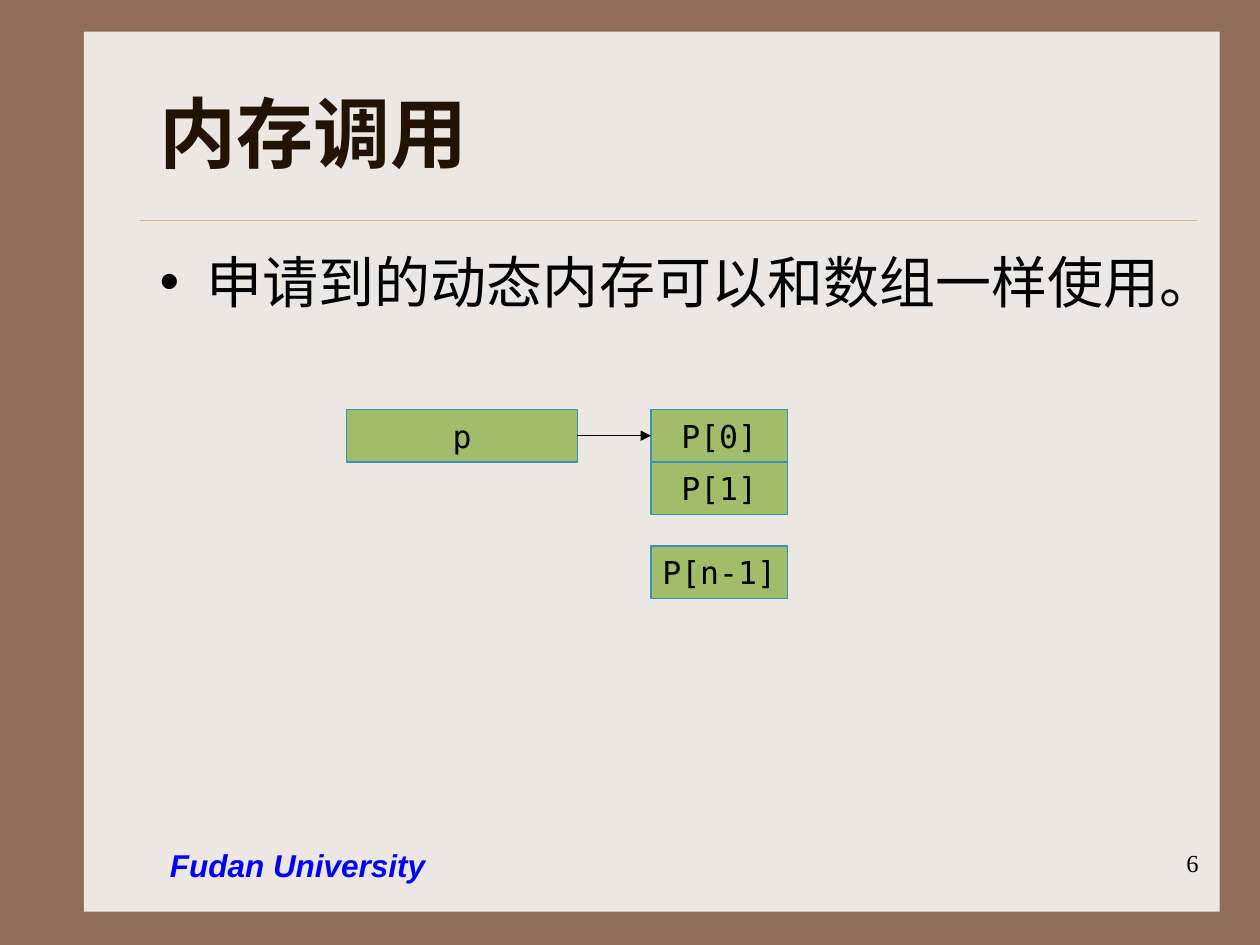
import pptx
import pptx.util
import pptx.dml.color
import pptx.enum.shapes
import pptx.enum.text
import pptx.oxml.ns
from lxml import etree

Pt = pptx.util.Pt
RGBColor = pptx.dml.color.RGBColor
ALIGN = pptx.enum.text.PP_ALIGN
ANCHOR = pptx.enum.text.MSO_ANCHOR
RECTANGLE = pptx.enum.shapes.MSO_SHAPE.RECTANGLE
STRAIGHT = pptx.enum.shapes.MSO_CONNECTOR.STRAIGHT
qn = pptx.oxml.ns.qn

BROWN = RGBColor(0x90, 0x6D, 0x58)
PAPER = RGBColor(0xED, 0xE7, 0xE3)
SAND = RGBColor(0xCB, 0xBD, 0x83)
DARK_BROWN = RGBColor(0x22, 0x13, 0x04)
BLACK = RGBColor(0, 0, 0)
GREEN = RGBColor(0xA1, 0xBD, 0x69)
TEAL = RGBColor(0x36, 0x94, 0xB6)
BLUE = RGBColor(0, 0, 0xFF)
MONO = "DejaVu Sans Mono"


def write(shape, text, size, font=MONO, color=BLACK, bold=False, italic=False,
          align=ALIGN.LEFT, anchor=ANCHOR.TOP, wrap=True):
    frame = shape.text_frame
    frame.auto_size = pptx.enum.text.MSO_AUTO_SIZE.NONE
    frame.word_wrap = wrap
    frame.vertical_anchor = anchor
    paragraph = frame.paragraphs[0]
    paragraph.alignment = align
    paragraph.space_before = Pt(0)
    run = paragraph.add_run()
    run.text = text
    run.font.size = Pt(size)
    run.font.name = font
    run.font.bold = bold
    run.font.italic = italic
    run.font.color.rgb = color
    return paragraph


def place(shape, left, top, width, height):
    shape.left, shape.top = Pt(left), Pt(top)
    shape.width, shape.height = Pt(width), Pt(height)


def add_box(slide, left, top, width, height, fill, line=None):
    box = slide.shapes.add_shape(RECTANGLE, Pt(left), Pt(top), Pt(width), Pt(height))
    box.shadow.inherit = False
    box.fill.solid()
    box.fill.fore_color.rgb = fill
    if line is None:
        box.line.fill.background()
    else:
        box.line.color.rgb = line
        box.line.width = Pt(0.75)
    return box


def add_line(slide, x1, y1, x2, y2, color, width):
    line = slide.shapes.add_connector(STRAIGHT, Pt(x1), Pt(y1), Pt(x2), Pt(y2))
    line.line.color.rgb = color
    line.line.width = Pt(width)
    etree.SubElement(line.element.spPr, qn("a:effectLst"))
    return line


def add_background(slide, left, top, width, height):
    """Put the paper panel and the title rule behind the placeholders."""
    slide.background.fill.solid()
    slide.background.fill.fore_color.rgb = BROWN
    panel = add_box(slide, left, top, width, height, PAPER)
    rule = add_line(slide, left + 32, top + 108, left + 636, top + 108, SAND, 0.25)
    for part in (panel, rule):
        slide.shapes.title.element.addprevious(part.element)


def fill_title(slide, left, top, width, height):
    title = slide.shapes.title
    place(title, left, top, width, height)
    write(title, "内存调用", 44, color=DARK_BROWN, bold=True, anchor=ANCHOR.MIDDLE)


def fill_body(slide, left, top, width, height):
    body = slide.placeholders[1]
    place(body, left, top, width, height)
    bullet_item = write(body, "申请到的动态内存可以和数组一样使用。", 32)
    properties = bullet_item._p.get_or_add_pPr()
    properties.set("marL", str(Pt(27)))
    properties.set("indent", str(-Pt(27)))
    bullet_color = etree.SubElement(properties, qn("a:buClr"))
    etree.SubElement(bullet_color, qn("a:srgbClr"), val=str(BLACK))
    etree.SubElement(properties, qn("a:buFont"), typeface="Arial")
    etree.SubElement(properties, qn("a:buChar"), char="•")


def add_memory_diagram(slide, left, top, width, height):
    """Draw the pointer and the array cells; the last cell ends the box."""
    pointer_width, cell_width, cell_height = 132, 78, 30
    cell_left = left + width - cell_width

    def add_cell(text, x, y, cell_w):
        cell = add_box(slide, x, y, cell_w, cell_height, GREEN, TEAL)
        write(cell, text, 18, align=ALIGN.CENTER, anchor=ANCHOR.MIDDLE, wrap=False)
        return cell

    pointer = add_cell("p", left, top, pointer_width)
    first_cell = add_cell("P[0]", cell_left, top, cell_width)
    add_cell("P[1]", cell_left, top + cell_height, cell_width)
    add_cell("P[n-1]", cell_left, top + height - cell_height, cell_width)

    middle = top + cell_height / 2
    arrow = add_line(slide, left + pointer_width, middle, cell_left, middle, BLACK, 0.75)
    arrow.begin_connect(pointer, 3)
    arrow.end_connect(first_cell, 1)
    etree.SubElement(arrow.line._get_or_add_ln(), qn("a:tailEnd"), type="triangle")


def add_footer(slide, left, top, width, height):
    university = slide.shapes.add_textbox(Pt(left), Pt(top), Pt(204), Pt(height))
    write(university, "Fudan University", 18, font="Arial", color=BLUE,
          bold=True, italic=True)
    number_width = 150
    page_number = slide.shapes.add_textbox(
        Pt(left + width - number_width), Pt(top + 1), Pt(number_width), Pt(height))
    write(page_number, "6", 14, font="Times New Roman", align=ALIGN.RIGHT)


def main():
    presentation = pptx.Presentation()
    presentation.slide_width, presentation.slide_height = Pt(720), Pt(540)
    slide = presentation.slides.add_slide(presentation.slide_layouts[1])
    add_background(slide, 48, 18, 649, 503)
    fill_title(slide, 84, 30, 600, 90)
    fill_body(slide, 84, 138, 600, 324)
    add_memory_diagram(slide, 198, 234, 252, 108)
    add_footer(slide, 90, 480, 602, 30)
    presentation.save("out.pptx")


if __name__ == "__main__":
    main()
